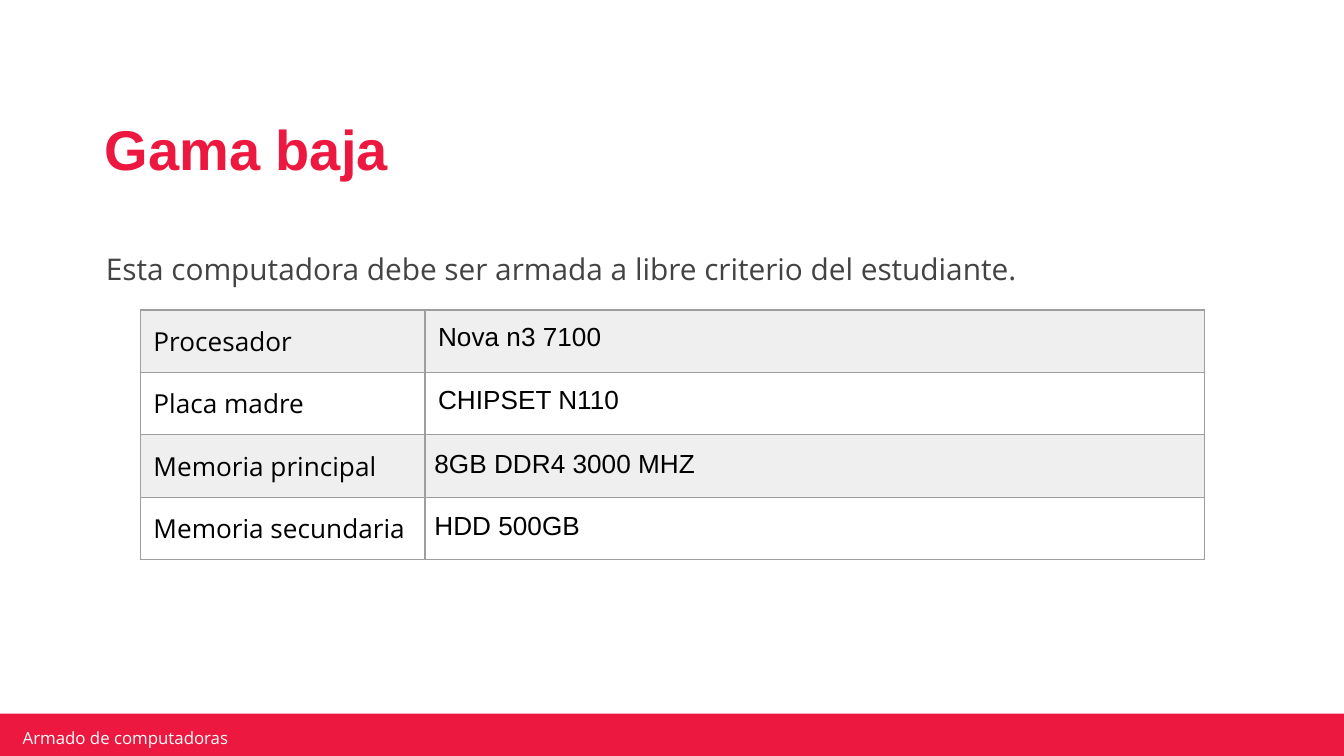
from lxml.etree import SubElement
from pptx import Presentation
from pptx.dml.color import RGBColor
from pptx.enum.shapes import MSO_SHAPE
from pptx.enum.text import MSO_ANCHOR
from pptx.oxml.ns import qn
from pptx.util import Cm, Pt

RED = RGBColor(0xEC, 0x18, 0x3F)
WHITE = RGBColor(0xFF, 0xFF, 0xFF)
BLACK = RGBColor(0x00, 0x00, 0x00)
DARK_GREY = RGBColor(0x43, 0x43, 0x43)
BAND_GREY = RGBColor(0xEF, 0xEF, 0xEF)
BORDER_GREY = RGBColor(0x9E, 0x9E, 0x9E)


def write(frame, text, font, color, spacing=1.0):
    """Fill the first paragraph of a text frame with one formatted span."""
    para = frame.paragraphs[0]
    para.line_spacing = spacing
    span = para.add_run()
    span.text = text
    for name, value in font.items():
        setattr(span.font, name, value)
    span.font.color.rgb = color
    return para


def add_border(cell):
    """Draw a thin line on all four sides of a table cell."""
    properties = cell._tc.get_or_add_tcPr()
    for index, side in enumerate(("a:lnL", "a:lnR", "a:lnT", "a:lnB")):
        line = properties.makeelement(qn(side), {"w": str(Pt(0.75))})
        properties.insert(index, line)
        fill = SubElement(line, qn("a:solidFill"))
        SubElement(fill, qn("a:srgbClr"), val=str(BORDER_GREY))


deck = Presentation()
deck.slide_width, deck.slide_height = Cm(25.4), Cm(14.29)
page = deck.slides.add_slide(deck.slide_layouts[6])

# Footer band
band = page.shapes.add_shape(
    MSO_SHAPE.RECTANGLE, Cm(-0.05), Cm(13.49), Cm(25.5), Cm(0.9))
band.shadow.inherit = False
band.fill.solid()
band.fill.fore_color.rgb = RED
band.line.fill.background()

# Footer, title and introduction: place, margins, text and format
texts = [
    ((0.3, 13.76, 6.07, 0.38), (0.13, 0.05), MSO_ANCHOR.MIDDLE,
     "Armado de computadoras",
     {"name": "Open Sans", "size": Pt(9)}, WHITE, 1.0),
    ((1.75, 1.7, 21.34, 2.36), (0.23, 0.1), MSO_ANCHOR.MIDDLE,
     "Gama baja",
     {"name": "Arial", "size": Pt(30), "bold": True}, RED, 0.9),
    ((1.75, 4.27, 22.43, 0.76), (0.25, 0.13), MSO_ANCHOR.TOP,
     "Esta computadora debe ser armada a libre criterio del estudiante.",
     {"name": "Open Sans", "size": Pt(16)}, DARK_GREY, 1.5),
]
for place, (side, edge), anchor, text, font, color, spacing in texts:
    box = page.shapes.add_textbox(*(Cm(length) for length in place))
    frame = box.text_frame
    layout = {"word_wrap": True, "vertical_anchor": anchor,
              "margin_left": Cm(side), "margin_right": Cm(side),
              "margin_top": Cm(edge), "margin_bottom": Cm(edge)}
    for name, value in layout.items():
        setattr(frame, name, value)
    write(frame, text, font, color, spacing)

# Table of components: label, value, and whether the value is set tight
components = [
    ("Procesador", "Nova n3 7100", False),
    ("Placa madre", "CHIPSET N110", False),
    ("Memoria principal", "8GB DDR4 3000 MHZ", True),
    ("Memoria secundaria", "HDD 500GB", True),
]
row_height = Cm(1.18)
table = page.shapes.add_table(
    len(components), 2, Cm(2.65), Cm(5.86), Cm(20.11),
    row_height * len(components)).table
table.columns[0].width = Cm(5.38)
table.columns[1].width = Cm(14.73)

for row, (label, value, tight) in enumerate(components):
    table.rows[row].height = row_height
    for column, (text, typeface) in enumerate(
            ((label, "Open Sans"), (value, "Arial"))):
        cell = table.cell(row, column)
        compact = tight and column == 1
        side, edge = (0.18, 0) if compact else (0.25, 0.25)
        margins = {"margin_left": side, "margin_right": side,
                   "margin_top": edge, "margin_bottom": edge}
        for name, length in margins.items():
            setattr(cell, name, Cm(length))
        cell.fill.solid()
        cell.fill.fore_color.rgb = WHITE if row % 2 else BAND_GREY
        add_border(cell)
        para = write(cell.text_frame, text,
                     {"name": typeface, "size": Pt(14)}, BLACK,
                     1.5 if compact else 1.0)
        if compact:
            para.space_after = Pt(8)

deck.save("out.pptx")
